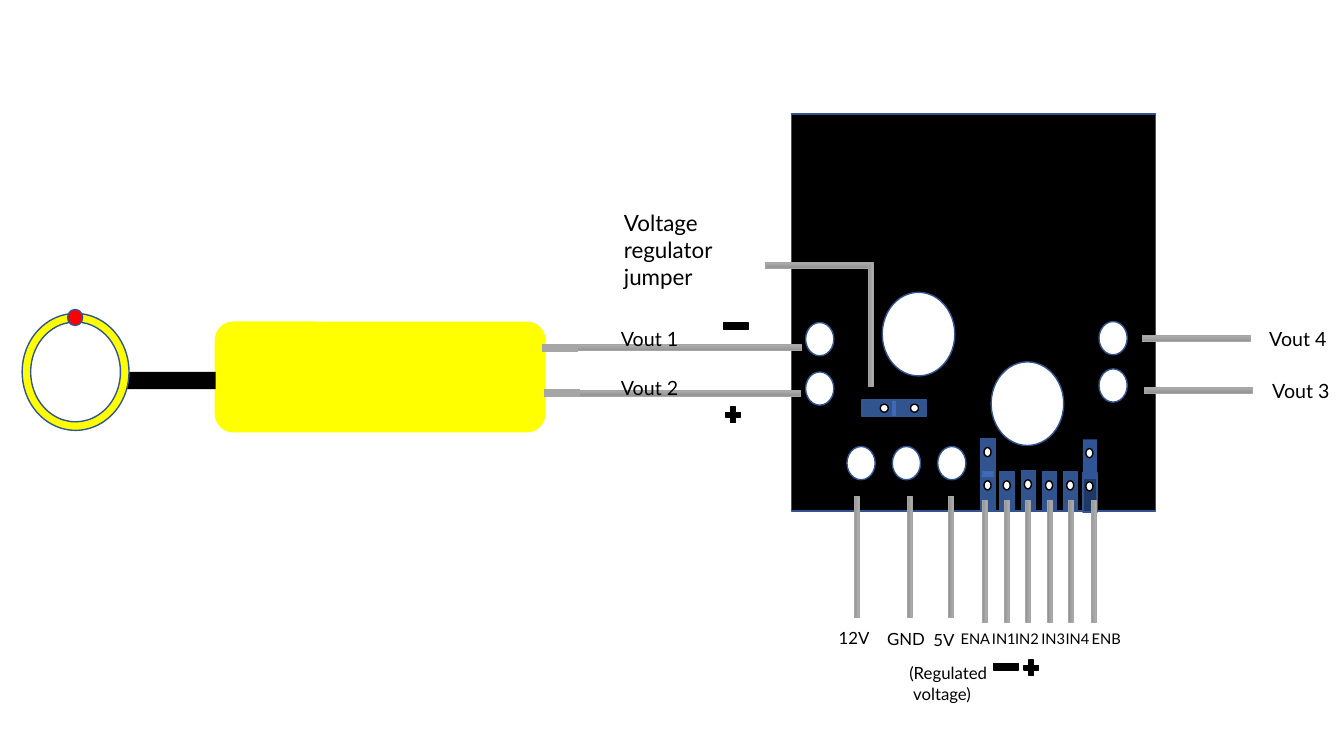
from dataclasses import dataclass

from lxml.etree import SubElement
from pptx import Presentation
from pptx.dml.color import RGBColor
from pptx.enum.shapes import MSO_CONNECTOR as Connector, MSO_SHAPE as Shape
from pptx.enum.text import MSO_AUTO_SIZE as AutoSize
from pptx.oxml.ns import qn
from pptx.util import Emu, Pt

PX = 9144


@dataclass(frozen=True)
class Theme:
    font: str = "Lato"
    black: str = "000000"
    white: str = "FFFFFF"
    yellow: str = "FFFF00"
    red: str = "FF0000"
    outline: str = "325491"
    pin: str = "4472C4"
    pin_mid: str = "2F5597"
    pin_dark: str = "203864"
    pin_alpha: int = 73
    wire_light: str = "AFAFAF"
    wire_dark: str = "939393"
    wire_edge: str = "A5A5A5"
    lead: str = "A6A6A6"
    heading: float = 16
    output: float = 14
    power: float = 12
    control: float = 10.5


THEME = Theme()


def px(*lengths):
    return [Emu(length * PX) for length in lengths]


def color(value):
    return RGBColor.from_string(value)


def add_figure(shapes, kind, box, fill, line=None, rotation=0, width=1.0):
    shape = shapes.add_shape(kind, *px(*box))
    shape.shadow.inherit = False
    shape.rotation = rotation
    if fill:
        shape.fill.solid()
        shape.fill.fore_color.rgb = color(fill)
    if line:
        shape.line.color.rgb = color(line)
        shape.line.width = Pt(width)
    else:
        shape.line.fill.background()
    return shape


def set_alpha(shape, percent):
    srgb = shape.fill._xPr.find(qn("a:solidFill"))[0]
    SubElement(srgb, qn("a:alpha"), val=str(percent * 1000))


def add_terminal(shapes, left, top, width=28, height=33):
    add_figure(shapes, Shape.OVAL, (left, top, width, height), THEME.white, THEME.outline)


def add_pin(shapes, left, top, fill=None, line=THEME.outline):
    pin = add_figure(shapes, Shape.RECTANGLE, (left, top, 14, 39), fill or THEME.pin, line)
    if not fill:
        set_alpha(pin, THEME.pin_alpha)
    add_figure(shapes, Shape.OVAL, (left + 3, top + 9, 7, 9), THEME.white, THEME.black)


def add_jumper(shapes, left, top):
    jumper = add_figure(shapes, Shape.RECTANGLE, (left, top, 16, 34),
                        THEME.pin, THEME.outline, 90)
    set_alpha(jumper, THEME.pin_alpha)
    add_figure(shapes, Shape.OVAL, (left + 9, top + 13, 8, 8), THEME.white, THEME.black, 90)


def add_wire(shapes, left, top, length, thickness=6, rotation=0):
    wire = add_figure(shapes, Shape.RECTANGLE, (left, top, length, thickness),
                      None, THEME.wire_edge, rotation, 0.5)
    wire.fill.gradient()
    wire.fill.gradient_angle = 270
    for stop, value in zip(wire.fill.gradient_stops, (THEME.wire_light, THEME.wire_dark)):
        stop.color.rgb = color(value)


def add_lead(shapes, left, top, length):
    lead = shapes.add_connector(Connector.STRAIGHT, *px(left, top, left + length, top))
    lead.line.color.rgb = color(THEME.lead)
    lead.line.width = Pt(6)
    SubElement(lead._element.spPr, qn("a:effectLst"))


def add_label(shapes, box, lines, size):
    label = shapes.add_textbox(*px(*box))
    frame = label.text_frame
    frame.word_wrap = True
    frame.auto_size = AutoSize.SHAPE_TO_FIT_TEXT
    frame.text = lines
    for paragraph in frame.paragraphs:
        paragraph.font.name = THEME.font
        paragraph.font.size = Pt(size)
        paragraph.font.color.rgb = color(THEME.black)


def add_sign(shapes, kind, left, top):
    width, height = (20, 21) if kind == Shape.MATH_PLUS else (34, 27)
    add_figure(shapes, kind, (left, top, width, height), THEME.black, THEME.black)


def add_board(slide):
    board = slide.shapes.add_group_shape().shapes
    add_figure(board, Shape.RECTANGLE, (785, 113, 361, 394), THEME.black, THEME.outline)
    for left, top in ((840, 443), (885, 443), (930, 443), (1090, 366),
                      (1090, 319), (799, 320), (799, 369)):
        add_terminal(board, left, top)
    for left in (973, 992, 1013, 1034, 1055):
        add_pin(board, left, 467 if left == 1013 else 468)
    add_pin(board, 1074, 469, THEME.pin_dark)
    add_pin(board, 1074, 436, THEME.pin_mid, None)
    add_pin(board, 973, 435)
    for left in (894, 864):
        add_jumper(board, left, 388)
    for left, top in ((983, 359), (875, 290)):
        add_terminal(board, left, top, 72, 83)


def add_wiring(slide):
    shapes = slide.shapes
    for left, top, length in ((1133, 333, 107), (1135, 384, 107),
                              (566, 342, 229), (565, 387, 229), (759, 260, 107)):
        add_wire(shapes, left, top, length)
    for left in (789, 842, 883):
        add_wire(shapes, left, 550, 121, 5, 90)
    for left in (916, 938, 959, 981, 1002, 1024):
        add_wire(shapes, left, 554, 121, 5, 90)
    add_wire(shapes, 803, 320, 121, 5, 90)


def add_labels(slide):
    shapes = slide.shapes
    for text, left, top in (("Vout 4", 1249, 319), ("Vout 3", 1252, 371),
                            ("Vout 2", 606, 368), ("Vout 1", 606, 319)):
        add_label(shapes, (left, top, 103, 38), text, THEME.output)
    for text, left, top, width in (("12V", 822, 618, 53), ("GND", 870, 619, 58),
                                   ("5V", 916, 620, 44)):
        add_label(shapes, (left, top, width, 35), text, THEME.power)
    for text, left, width in (("ENB", 1073, 70), ("IN4", 1047, 48), ("IN3", 1023, 48),
                              ("IN2", 997, 48), ("IN1", 974, 53), ("ENA", 943, 53)):
        add_label(shapes, (left, 620, width, 33), text, THEME.control)
    add_label(shapes, (609, 203, 137, 104), "Voltage regulator jumper", THEME.heading)
    add_label(shapes, (892, 653, 104, 58), "(Regulated\n voltage)", THEME.power)


def add_motor(slide):
    shapes = slide.shapes
    add_figure(shapes, Shape.ROUNDED_RECTANGLE, (213, 319, 328, 110), THEME.yellow)
    add_figure(shapes, Shape.RECTANGLE, (121, 369, 93, 17), THEME.black)
    wheel = add_figure(shapes, Shape.DONUT, (22, 311, 106, 116), THEME.yellow, THEME.outline)
    wheel.adjustments[0] = 0.08
    add_figure(shapes, Shape.OVAL, (67, 307, 15, 16), THEME.red, THEME.outline)
    add_lead(shapes, 538, 345, 35)
    add_lead(shapes, 540, 390, 35)


def main():
    presentation = Presentation()
    presentation.slide_width, presentation.slide_height = px(1333, 750)
    slide = presentation.slides.add_slide(presentation.slide_layouts[6])
    add_board(slide)
    add_wiring(slide)
    add_labels(slide)
    add_motor(slide)
    for kind, left, top in ((Shape.MATH_PLUS, 1013, 652), (Shape.MATH_MINUS, 981, 648),
                            (Shape.MATH_PLUS, 717, 401), (Shape.MATH_MINUS, 713, 310)):
        add_sign(slide.shapes, kind, left, top)
    presentation.save("out.pptx")


if __name__ == "__main__":
    main()
